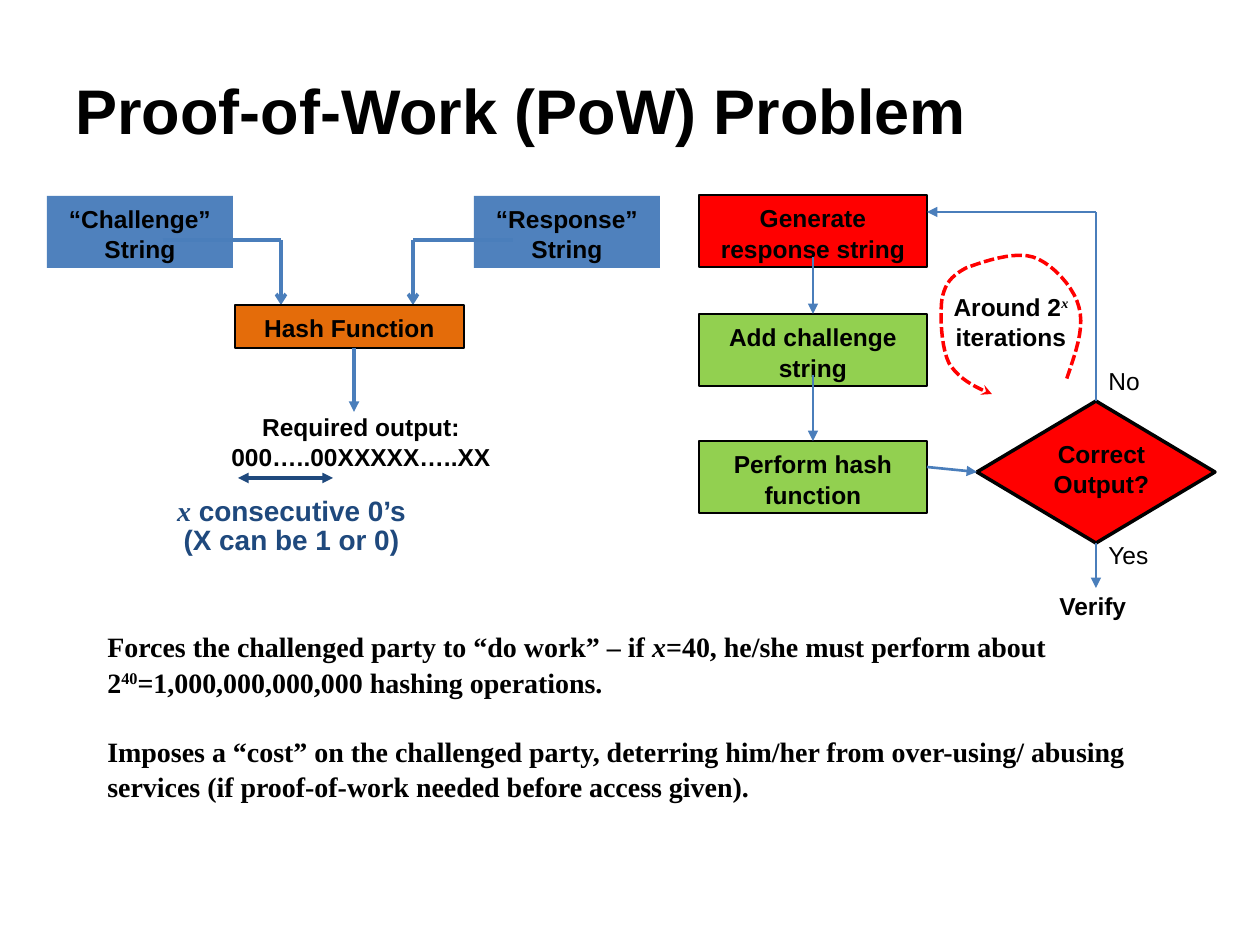
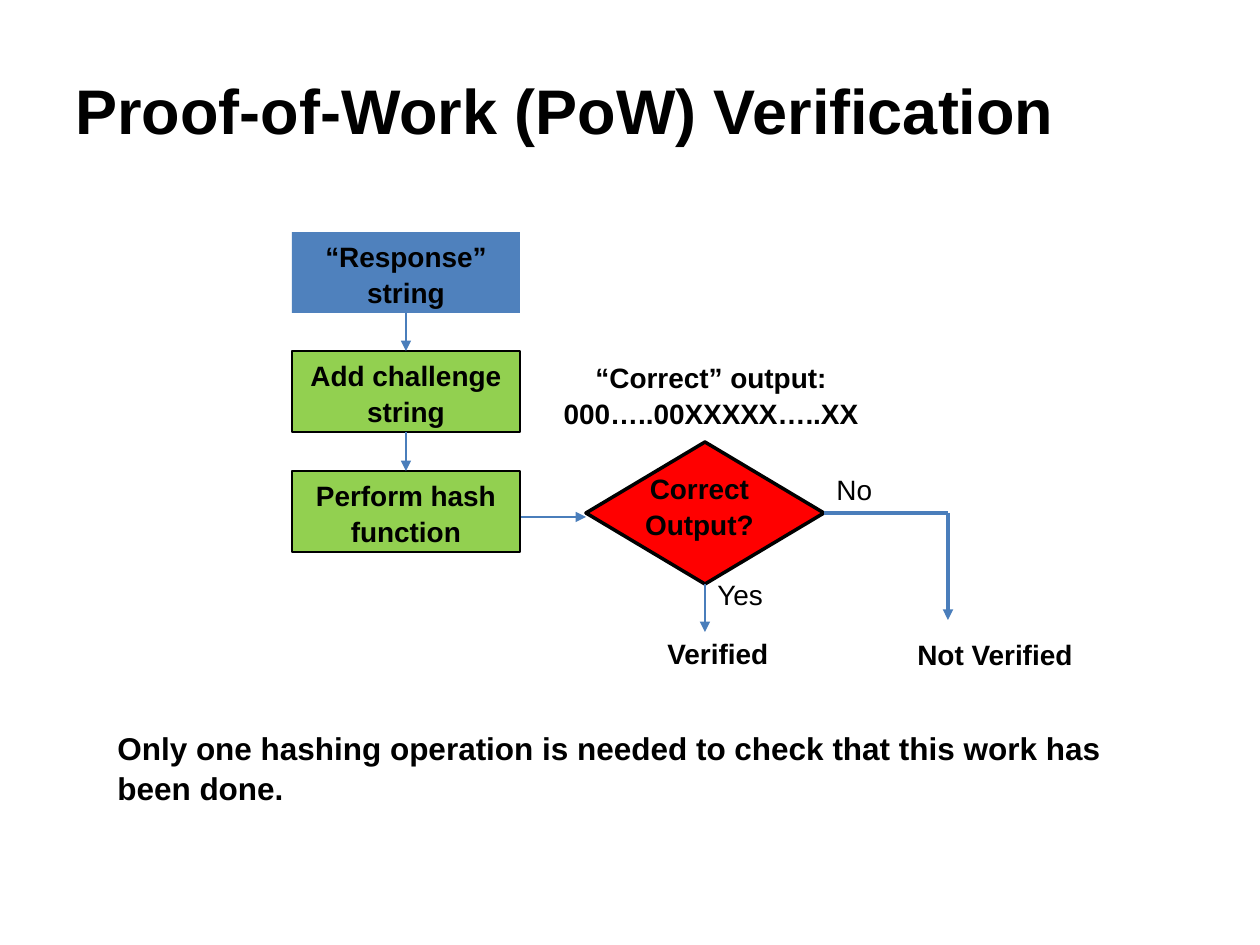
import pptx
import pptx.dml.color
import pptx.enum.dml
import pptx.enum.shapes
import pptx.enum.text
import pptx.oxml.ns
import pptx.util
from lxml import etree

RGBColor = pptx.dml.color.RGBColor
Shapes = pptx.enum.shapes.MSO_SHAPE
Align = pptx.enum.text.PP_ALIGN
Anchor = pptx.enum.text.MSO_ANCHOR

BLACK = RGBColor(0x00, 0x00, 0x00)
BLUE = RGBColor(0x4F, 0x81, 0xBD)
LINE_BLUE = RGBColor(0x4A, 0x7E, 0xBB)
NAVY = RGBColor(0x1F, 0x49, 0x7D)
ORANGE = RGBColor(0xE4, 0x6C, 0x0A)
RED = RGBColor(0xFF, 0x00, 0x00)
GREEN = RGBColor(0x92, 0xD0, 0x50)

SANS, SERIF = "Arial", "Times New Roman"
PX = 914400 / 126
TOP, LEFT, BOTTOM, RIGHT = range(4)
LINE_SPACING = 1.05


def emu(*lengths):
    return [round(length * PX) for length in lengths]


# Text: a paragraph is a list of runs, a run is a string or (string, style)
def add_run(paragraph, run_text, size, color, bold, font, italic=False, superscript=False):
    run = paragraph.add_run()
    run.text = run_text
    run.font.name = font
    run.font.size = pptx.util.Pt(size)
    run.font.bold = bold
    run.font.italic = italic
    run.font.color.rgb = color
    if superscript:
        run._r.get_or_add_rPr().set("baseline", "30000")


def write(shape, paragraphs, size, color=BLACK, bold=True, font=SANS,
          align=Align.CENTER, anchor=Anchor.TOP, gap=0):
    frame = shape.text_frame
    frame.word_wrap = True
    frame.vertical_anchor = anchor
    for index, runs in enumerate(paragraphs):
        paragraph = frame.add_paragraph() if index else frame.paragraphs[0]
        paragraph.alignment = align
        paragraph.line_spacing = LINE_SPACING
        if index and gap:
            paragraph.space_before = pptx.util.Pt(gap)
        for run in runs:
            run_text, style = (run, {}) if isinstance(run, str) else run
            add_run(paragraph, run_text, size, color, bold, **{"font": font, **style})


def add_label(slide, box, paragraphs, size, **style):
    write(slide.shapes.add_textbox(*emu(*box)), paragraphs, size, **style)


def add_title(slide, title):
    add_label(slide, (63, 39, 1134, 137), [[title]], 36,
              align=Align.LEFT, anchor=Anchor.MIDDLE)


# Boxes and decisions
def add_node(slide, kind, box, fill, border=None):
    shape = slide.shapes.add_shape(kind, *emu(*box))
    shape.shadow.inherit = False
    shape.fill.solid()
    shape.fill.fore_color.rgb = fill
    if border:
        shape.line.color.rgb = BLACK
        shape.line.width = pptx.util.Pt(border)
    else:
        shape.line.fill.background()
    return shape


def add_box(slide, box, label, fill, size, border=1.5):
    shape = add_node(slide, Shapes.RECTANGLE, box, fill, border)
    write(shape, [[label]], size)
    return shape


def add_decision(slide, left, top):
    return add_node(slide, Shapes.FLOWCHART_DECISION, (left, top, 238, 142), RED, 2)


# Lines and arrows
def add_arrowhead(line_element, tag, kind):
    etree.SubElement(line_element, pptx.oxml.ns.qn("a:" + tag), type=kind)


def add_line(slide, start, end, width=1.5, color=LINE_BLUE, head=None, tail=None,
             start_joint=None, end_joint=None):
    connector = slide.shapes.add_connector(
        pptx.enum.shapes.MSO_CONNECTOR.STRAIGHT, *emu(*start, *end))
    connector.line.color.rgb = color
    connector.line.width = pptx.util.Pt(width)
    line_element = connector.line._get_or_add_ln()
    if head:
        add_arrowhead(line_element, "headEnd", head)
    if tail:
        add_arrowhead(line_element, "tailEnd", tail)
    etree.SubElement(connector._element.spPr, pptx.oxml.ns.qn("a:effectLst"))
    if start_joint:
        connector.begin_connect(*start_joint)
    if end_joint:
        connector.end_connect(*end_joint)


def curve_points(start, curves, steps=10):
    """Points along a chain of cubic curves, each (control, control, end)."""
    points = [start]
    for control_1, control_2, end in curves:
        corners = list(zip(start, control_1, control_2, end))
        for step in range(1, steps + 1):
            t = step / steps
            u = 1 - t
            points.append(tuple(
                u**3 * a + 3 * u * u * t * b + 3 * u * t * t * c + t**3 * d
                for a, b, c, d in corners))
        start = end
    return points


def add_loop_arrow(slide, start, curves):
    points = [emu(*point) for point in curve_points(start, curves)]
    builder = slide.shapes.build_freeform(*points[0])
    builder.add_line_segments(points[1:], close=False)
    loop = builder.convert_to_shape()
    loop.shadow.inherit = False
    loop.fill.background()
    loop.line.color.rgb = RED
    loop.line.width = pptx.util.Pt(2)
    loop.line.dash_style = pptx.enum.dml.MSO_LINE.SQUARE_DOT
    add_arrowhead(loop.line._get_or_add_ln(), "headEnd", "stealth")


def build_problem(slide):
    add_title(slide, "Proof-of-Work (PoW) Problem")

    # Two strings feeding the hash function
    for name, left, inner, turn in (("“Challenge”", 47, 163, 281),
                                    ("“Response”", 474, 513, 413)):
        add_box(slide, (left, 196, 186, 72), name + " String", BLUE, 14, border=None)
        add_line(slide, (inner, 240), (turn, 240), 2)
        add_line(slide, (turn, 240), (turn, 305), 2, tail="arrow")
    add_box(slide, (235, 305, 229, 43), "Hash Function", ORANGE, 14)

    # Required output
    add_line(slide, (354, 348), (354, 412), 2, tail="triangle")
    add_label(slide, (164, 404, 394, 72),
              [["Required output:"], ["000…..00XXXXX…..XX"]], 14)
    add_line(slide, (333, 478), (238, 478), 2, NAVY, "triangle", "triangle")
    italic_serif = {"font": SERIF, "italic": True}
    for top, runs in ((486, [("x", italic_serif), " consecutive 0’s"]),
                      (515, ["(X can be 1 or 0)"])):
        add_label(slide, (141, top, 301, 47), [runs], 16, color=NAVY)

    # Steps of the search
    steps = [add_box(slide, (699, top, 228, 72), label, fill, 14)
             for top, label, fill in ((195, "Generate response string", RED),
                                      (314, "Add challenge string", GREEN),
                                      (441, "Perform hash function", GREEN))]
    for start_top, end_top, step in ((257, 314, steps[1]), (375, 441, steps[2])):
        add_line(slide, (813, start_top), (813, end_top), tail="triangle",
                 end_joint=(step, TOP))

    # Decision and its branches
    decision = add_decision(slide, 977, 401)
    add_label(slide, (1027, 431, 149, 72), [["Correct Output?"]], 14)
    add_line(slide, (927, 467), (977, 472), tail="triangle", end_joint=(decision, LEFT))
    add_line(slide, (1096, 401), (1096, 212), start_joint=(decision, TOP))
    add_line(slide, (1096, 212), (927, 212), tail="triangle")
    add_line(slide, (1096, 543), (1096, 588), tail="triangle",
             start_joint=(decision, BOTTOM))
    for label, top in (("No", 358), ("Yes", 532)):
        add_label(slide, (1096, top, 79, 43), [[label]], 14, bold=False, align=Align.LEFT)
    add_label(slide, (1047, 583, 127, 43), [["Verify"]], 14, align=Align.LEFT)

    # Iteration loop
    add_loop_arrow(slide, (992, 394), [
        ((974, 387), (958, 378), (949, 363)),
        ((941, 347), (940, 314), (942, 299)),
        ((945, 284), (951, 276), (966, 268)),
        ((982, 262), (1014, 251), (1033, 257)),
        ((1052, 263), (1074, 287), (1079, 307)),
        ((1085, 329), (1075, 354), (1066, 381))])
    add_label(slide, (907, 284, 208, 72),
              [["Around 2", ("x", {**italic_serif, "superscript": True})],
               ["iterations"]], 14)

    # Explanation
    add_label(slide, (95, 622, 1081, 181), [
        ["Forces the challenged party to “do work” – if ", ("x", {"italic": True}),
         "=40, he/she must perform about 2", ("40", {"superscript": True}),
         "=1,000,000,000,000 hashing operations."],
        ["Imposes a “cost” on the challenged party, deterring him/her from over-using/ "
         "abusing services (if proof-of-work needed before access given)."],
    ], 16, font=SERIF, align=Align.LEFT, gap=19.3)


def build_verification(slide):
    add_line(slide, (514, 517), (586, 517), tail="triangle")
    add_title(slide, "Proof-of-Work (PoW) Verification")

    # Steps of the check
    steps = [add_box(slide, (292, top, 228, 81), label, fill, 16, border)
             for top, label, fill, border in (
                 (232, "“Response” string", BLUE, None),
                 (351, "Add challenge string", GREEN, 1.5),
                 (471, "Perform hash function", GREEN, 1.5))]
    for upper, lower in zip(steps, steps[1:]):
        add_line(slide, (406, 313), (406, 351), tail="triangle",
                 start_joint=(upper, BOTTOM), end_joint=(lower, TOP))

    # Decision and its branches
    decision = add_decision(slide, 586, 442)
    add_label(slide, (625, 464, 149, 81), [["Correct Output?"]], 16)
    add_line(slide, (705, 584), (705, 632), tail="triangle",
             start_joint=(decision, BOTTOM))
    add_line(slide, (824, 513), (948, 513), 2, start_joint=(decision, RIGHT))
    add_line(slide, (948, 513), (948, 620), 2, tail="triangle")
    for label, left, top, width, bold in (("No", 824, 465, 79, False),
                                          ("Yes", 705, 570, 79, False),
                                          ("Verified", 655, 629, 129, True),
                                          ("Not Verified", 905, 630, 202, True)):
        add_label(slide, (left, top, width, 47), [[label]], 16, bold=bold, align=Align.LEFT)
    add_label(slide, (514, 353, 394, 81),
              [["“Correct” output:"], ["000…..00XXXXX…..XX"]], 16)

    # Explanation
    add_label(slide, (105, 721, 1081, 88),
              [["Only one hashing operation is needed to check that this work has been done."]],
              18, align=Align.LEFT)


def main():
    presentation = pptx.Presentation()
    presentation.slide_width, presentation.slide_height = emu(1260, 945)
    blank = presentation.slide_layouts[6]
    for build in (build_problem, build_verification):
        build(presentation.slides.add_slide(blank))
    presentation.save("out.pptx")


if __name__ == "__main__":
    main()
